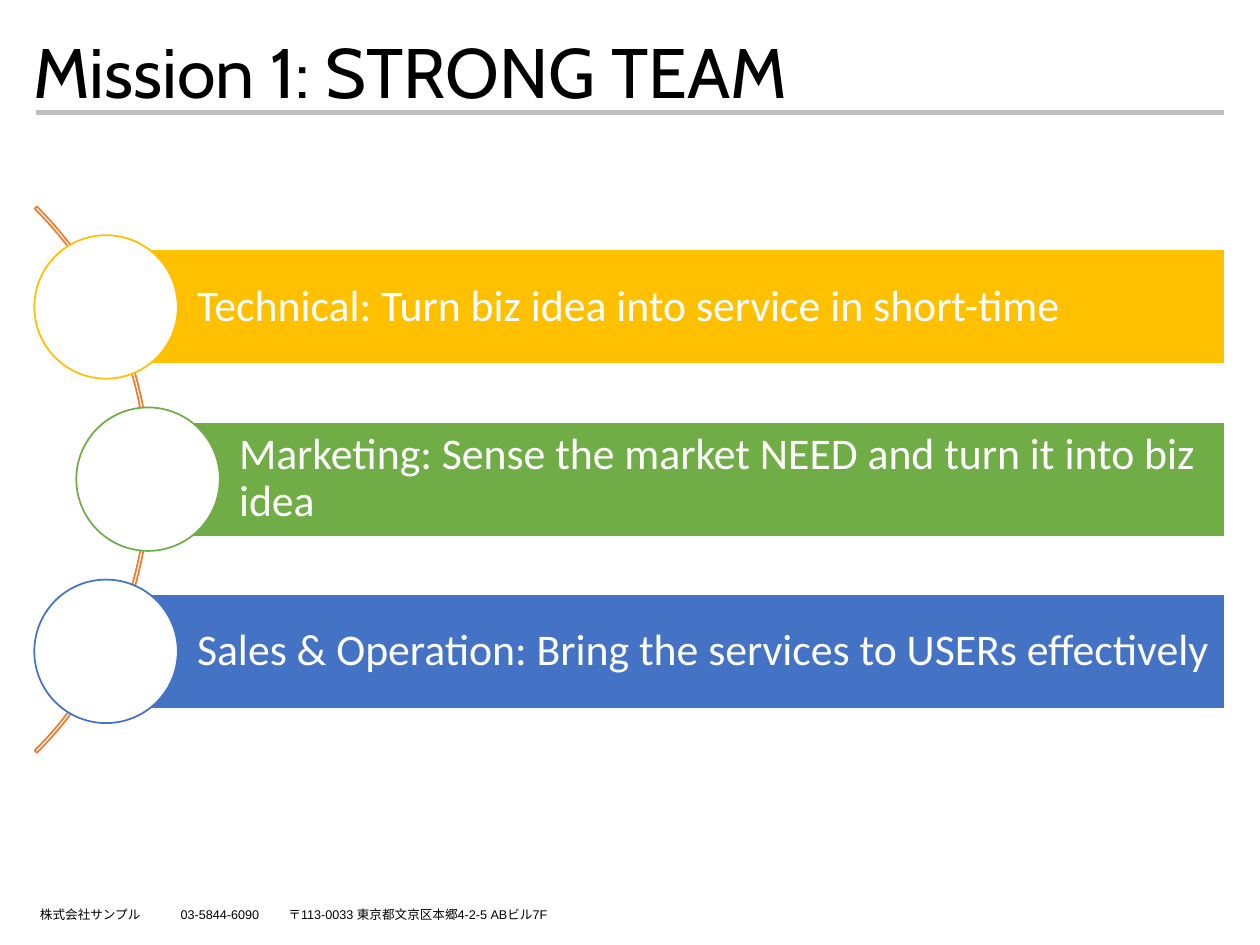
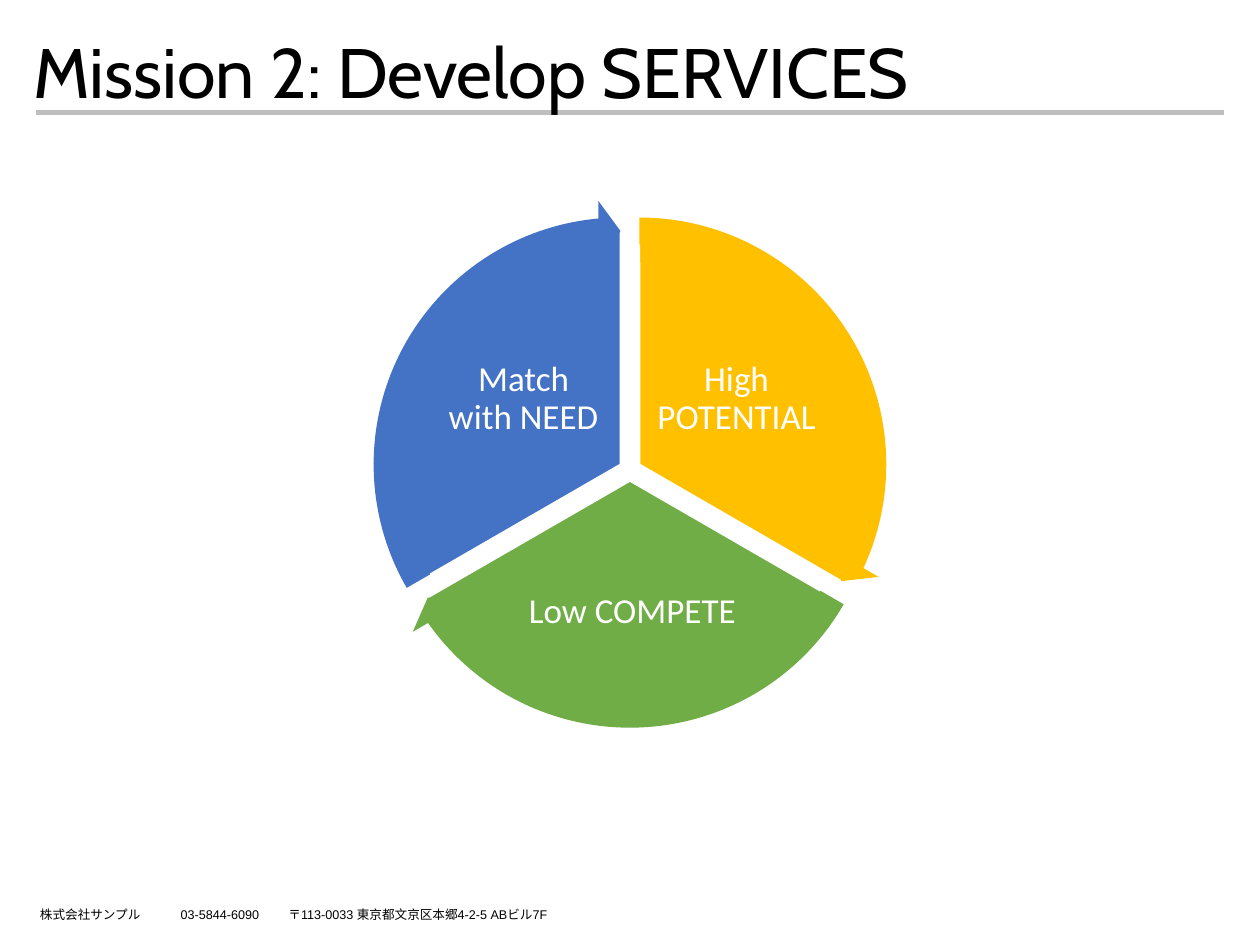
from lxml import etree
from pptx import Presentation
from pptx.dml.color import RGBColor
from pptx.enum import shapes, text
from pptx.oxml.ns import qn
from pptx.util import Pt

COLORS = {
    "black": "000000",
    "white": "FFFFFF",
    "rule": "BFBFBF",
    "arc": "ED7D31",
    "gold": "FFC000",
    "green": "70AD47",
    "blue": "4472C4",
}
SHAPE = shapes.MSO_SHAPE
FOOTER = "株式会社サンプル\t03-5844-6090\t〒113-0033 東京都文京区本郷4-2-5 ABビル7F"
FOOTER_TABS = [80.4, 142]


def add_figure(slide, kind, box, fill=None, line=None, adjustments=()):
    shape = slide.shapes.add_shape(kind, *[Pt(value) for value in box])
    shape.shadow.inherit = False
    for index, value in enumerate(adjustments):
        shape.adjustments[index] = value
    if fill:
        shape.fill.solid()
        shape.fill.fore_color.rgb = RGBColor.from_string(COLORS[fill])
    else:
        shape.fill.background()
    if line:
        shape.line.color.rgb = RGBColor.from_string(COLORS[line])
        shape.line.width = Pt(1)
    else:
        shape.line.fill.background()
    return shape


def write(shape, words, font, size, color, insets=None, align=text.PP_ALIGN.LEFT, spacing=0.9):
    frame = shape.text_frame
    frame.word_wrap = True
    if insets:
        frame.vertical_anchor = text.MSO_ANCHOR.MIDDLE
        frame.margin_left, frame.margin_top, frame.margin_right, frame.margin_bottom = [
            Pt(inset) for inset in insets
        ]
    paragraph = frame.paragraphs[0]
    paragraph.text = words
    paragraph.alignment = align
    paragraph.line_spacing = spacing
    paragraph.font.name = font
    paragraph.font.size = Pt(size)
    paragraph.font.color.rgb = RGBColor.from_string(COLORS[color])
    return paragraph


presentation = Presentation()
presentation.slide_width = Pt(720)
presentation.slide_height = Pt(540)

slides = []
for title, title_width in [("Mission 1: STRONG TEAM", 492), ("Mission 2: Develop SERVICES", 546)]:
    slide = presentation.slides.add_slide(presentation.slide_layouts[6])
    slides.append(slide)

    rule = slide.shapes.add_connector(
        shapes.MSO_CONNECTOR.STRAIGHT, Pt(20.6), Pt(64.3), Pt(699.4), Pt(64.3)
    )
    rule.line.color.rgb = RGBColor.from_string(COLORS["rule"])
    rule.line.width = Pt(3)
    etree.SubElement(rule._element.spPr, qn("a:effectLst"))

    footer = slide.shapes.add_textbox(Pt(15.8), Pt(514.8), Pt(360), Pt(15.8))
    paragraph = write(footer, FOOTER, "Arial", 7.2, "black", spacing=1.0)
    tab_list = etree.Element(qn("a:tabLst"))
    for position in FOOTER_TABS:
        etree.SubElement(tab_list, qn("a:tab"), pos=str(Pt(position)), algn="l")
    properties = paragraph._p.get_or_add_pPr()
    default_font = properties.find(qn("a:defRPr"))
    if default_font is None:
        properties.append(tab_list)
    else:
        default_font.addprevious(tab_list)

    heading = slide.shapes.add_textbox(Pt(12.2), Pt(18), Pt(title_width), Pt(45.4))
    write(heading, title, "Cabin", 40, "black")

team_slide, services_slide = slides

add_figure(team_slide, SHAPE.BLOCK_ARC, (-355.7, 53.4, 441.4, 441.4),
           line="arc", adjustments=(189, 27, 0.004))

BAR_RIGHT, BAR_HEIGHT, CIRCLE = 700, 65.6, 82
FIRST_ROW, ROW_STEP = 175.4, 98.4
team_rows = [
    ("Technical: Turn biz idea into service in short-time", "gold", 60.6),
    ("Marketing: Sense the market NEED and turn it into biz idea", "green", 84.6),
    ("Sales & Operation: Bring the services to USERs effectively", "blue", 60.6),
]
for row, (words, color, left) in enumerate(team_rows):
    middle = FIRST_ROW + row * ROW_STEP
    bar = add_figure(team_slide, SHAPE.RECTANGLE,
                     (left, middle - BAR_HEIGHT / 2, BAR_RIGHT - left, BAR_HEIGHT), color, "white")
    write(bar, words, "Calibri", 25, "white", (52, 5, 5, 5))
    add_figure(team_slide, SHAPE.OVAL,
               (left - CIRCLE / 2, middle - CIRCLE / 2, CIRCLE, CIRCLE), "white", color)

PIE, ARROW = 268.6, 302.4
THIRD, FULL_TURN, FIRST_ANGLE, HEAD_ANGLE = 72, 216, 162, 3.275
service_sectors = [
    ("High POTENTIAL", "gold", (365.4, 265.4), (373, 188, 95.8, 80)),
    ("Low COMPETE", "green", (360, 274.8), (289.4, 314.6, 144, 70.6)),
    ("Match with NEED", "blue", (354.6, 265.4), (251.3, 188, 95.8, 80)),
]
arrows = []
for index, (words, color, (x, y), label_box) in enumerate(service_sectors):
    start = (FIRST_ANGLE + index * THIRD) % FULL_TURN
    end = (start + THIRD) % FULL_TURN
    add_figure(services_slide, SHAPE.PIE, (x - PIE / 2, y - PIE / 2, PIE, PIE),
               color, "white", (start, end))
    label = services_slide.shapes.add_textbox(*[Pt(value) for value in label_box])
    write(label, words, "Calibri", 20, "white", (2, 2, 2, 2), text.PP_ALIGN.CENTER)
    arrows.append((color, (x - ARROW / 2, y - ARROW / 2, ARROW, ARROW),
                   (0.051, HEAD_ANGLE, end - HEAD_ANGLE, start, 0.059)))
for color, box, adjustments in arrows:
    add_figure(services_slide, SHAPE.CIRCULAR_ARROW, box, color, adjustments=adjustments)

presentation.save("out.pptx")
